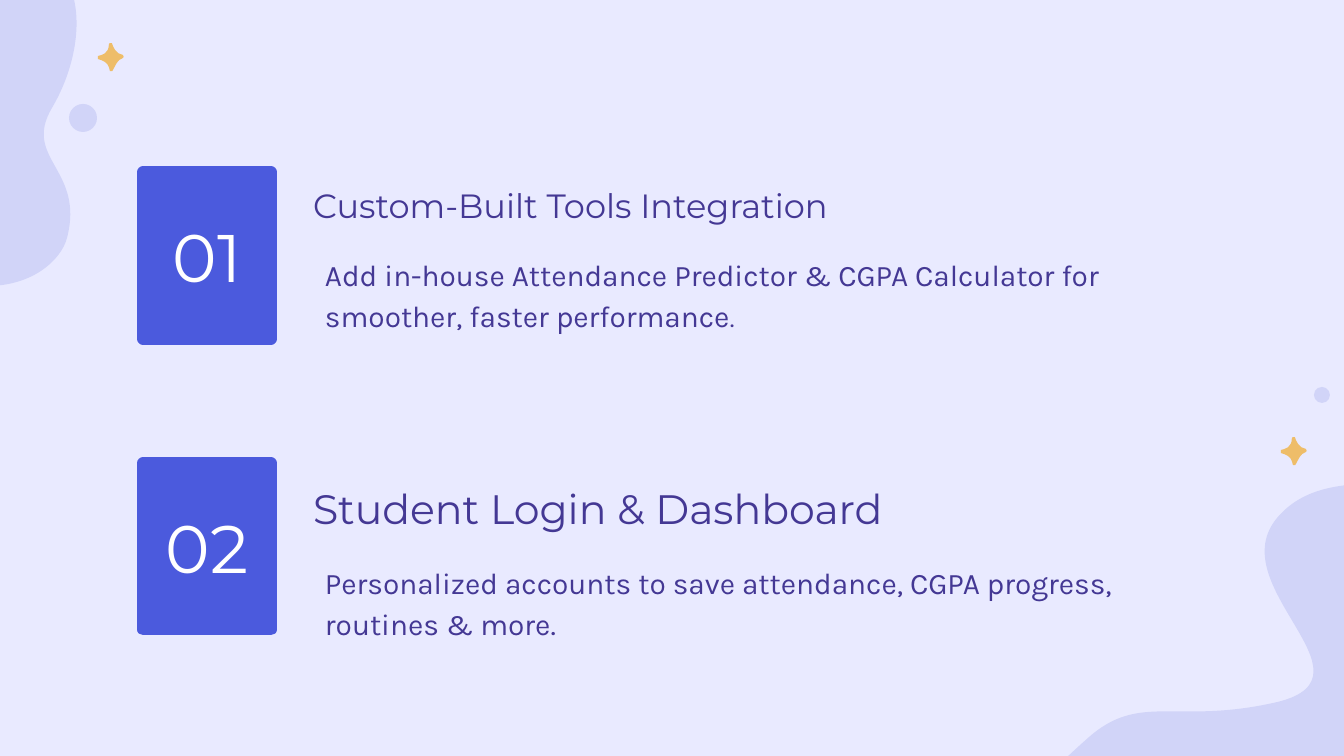
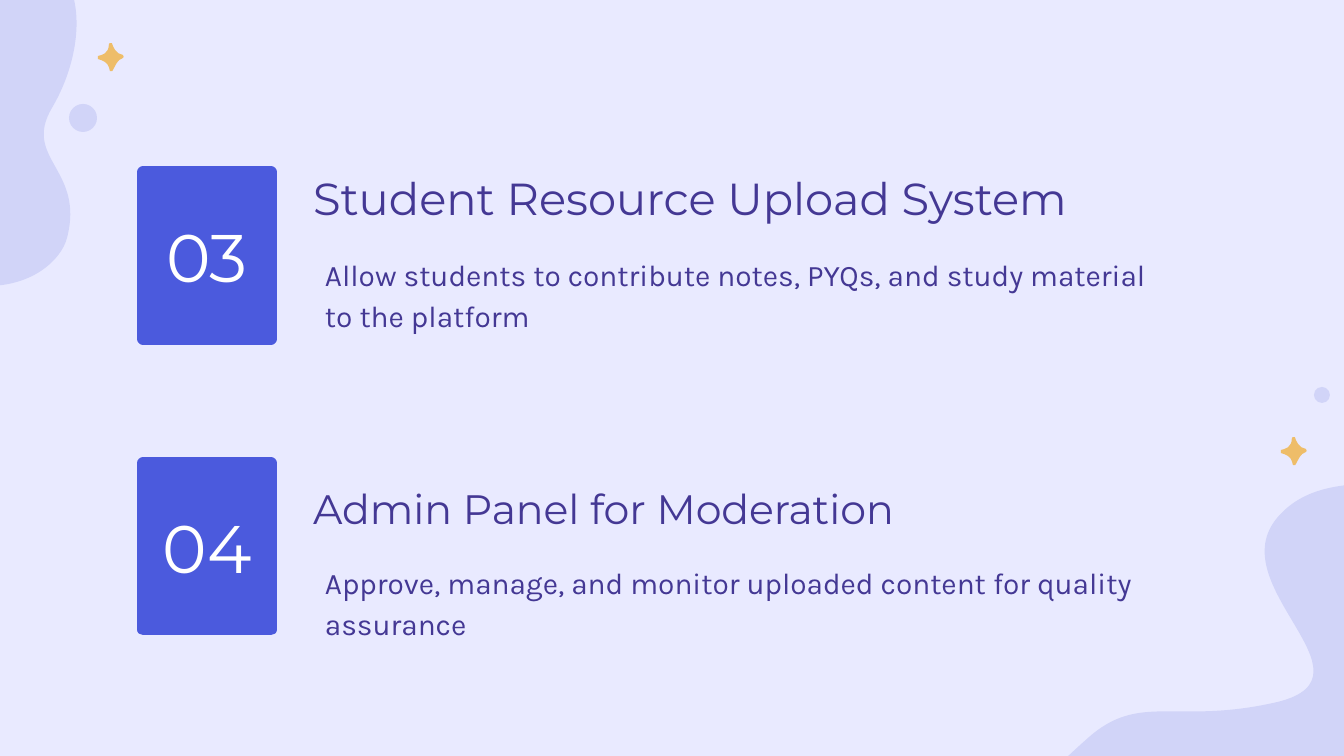
from lxml.etree import SubElement
from pptx import Presentation
from pptx.dml.color import RGBColor
from pptx.enum.shapes import MSO_SHAPE
from pptx.enum.text import MSO_ANCHOR, MSO_AUTO_SIZE, PP_ALIGN
from pptx.oxml.ns import qn
from pptx.util import Emu, Pt

SCALE = 914400 / 134.4
WIDTH, HEIGHT = 1344, 756

PALE = RGBColor(0xE9, 0xEA, 0xFF)
LILAC = RGBColor(0xD1, 0xD4, 0xF8)
GOLD = RGBColor(0xEE, 0xBD, 0x69)
BLUE = RGBColor(0x4B, 0x5A, 0xDD)
INK = RGBColor(0x44, 0x38, 0x94)
WHITE = RGBColor(0xFF, 0xFF, 0xFF)

INSET = 13
CARD = (143, 128, 167)
HEAD = (300, 134)
BODY = (312, 95)

NUMBER = {"name": "Montserrat", "size": Pt(36), "bold": False}
TITLE = {"name": "Montserrat", "bold": False}
COPY = {"name": "Karla", "size": Pt(16), "bold": False}

LEFT_BLOB = [
    (9, 118),
    (16, 164), (32, 176), (28, 209),
    (25, 232), (13, 251), (4, 278),
    (-8, 311), (6, 375), (90, 377),
    (137, 380), (185, 353), (231, 364),
    (312, 384), (348, 342), (353, 321),
    (371, 252), (308, 242), (338, 191),
    (383, 115), (376, -4), (234, 35),
    (160, 56), (101, -30), (40, 12),
    (1, 39), (5, 84), (9, 118),
]
RIGHT_BLOB = [
    (592, 0),
    (592, 0), (395, 7), (404, 109),
    (413, 211), (295, 136), (236, 204),
    (177, 272), (340, 363), (236, 389),
    (133, 413), (98, 378), (45, 426),
    (-8, 473), (0, 475), (0, 475),
]
RIGHT_EDGE = [(639, 481), (625, 3), (592, 0)]
STAR = [
    (1, 13),
    (5, 12), (12, 11), (12, 1),
    (12, 0), (13, 0), (15, 0),
    (16, 4), (19, 11), (26, 12),
    (27, 13), (27, 15), (26, 15),
    (20, 17), (19, 22), (16, 27),
    (16, 28), (15, 29), (13, 28),
    (12, 24), (12, 19), (1, 16),
    (1, 16), (1, 15), (1, 13),
]

ROWS = [
    {"card": 172, "text": 104, "wide": 872},
    {"card": 463, "text": 412, "wide": 847},
]
SLIDES = [
    [
        ("01", "Custom-Built Tools Integration", 18, 710,
         "Add in-house Attendance Predictor & CGPA Calculator for smoother, faster performance", "."),
        ("02", "Student Login & Dashboard", 22, 788,
         "Personalized accounts to save attendance, CGPA progress, routines & more.", ""),
    ],
    [
        ("03", "Student Resource Upload System", 24, 903,
         "Allow students to contribute notes, PYQs, and study material to the platform", ""),
        ("04", "Admin Panel for Moderation", 22, 788,
         "Approve, manage, and monitor uploaded content for quality assurance", ""),
    ],
]


def px(value):
    return Emu(round(value * SCALE))


def assign(target, values):
    for key, value in values.items():
        setattr(target, key, value)


def place(shape, left, top, width, height):
    box = {"left": left, "top": top, "width": width, "height": height}
    assign(shape, {key: px(value) for key, value in box.items()})


def paint(shape, color):
    shape.shadow.inherit = False
    shape.fill.solid()
    shape.fill.fore_color.rgb = color
    shape.line.fill.background()


def bend(route, count):
    lines = route.findall(qn("a:lnTo"))
    for i in range(0, count, 3):
        curve = lines[i]
        for line in lines[i + 1:i + 3]:
            curve.append(line[0])
            route.remove(line)
        curve.tag = qn("a:cubicBezTo")


def draw_blob(shapes, box, nodes, color, edge=()):
    left, top, width, height = box
    points = [*nodes, *edge]
    pen = shapes.build_freeform(*points[0], scale=SCALE)
    pen.add_line_segments(points[1:], close=True)
    blob = pen.convert_to_shape(px(left), px(top))
    route = next(blob.element.iter(qn("a:path")))
    for dot, (x, y) in zip(route.iter(qn("a:pt")), points):
        dot.set("x", str(x))
        dot.set("y", str(y))
    route.set("w", str(width))
    route.set("h", str(height))
    bend(route, len(nodes) - 1)
    place(blob, *box)
    paint(blob, color)


def draw_dot(shapes, left, top, size):
    dot = shapes.add_shape(MSO_SHAPE.OVAL, px(left), px(top), px(size), px(size))
    paint(dot, LILAC)


def add_decor(slide, master):
    blobs, dots, stars = [slide.shapes.add_group_shape() for _ in range(3)]
    draw_blob(blobs.shapes, (-286, -83, 363, 376), LEFT_BLOB, LILAC)
    draw_blob(blobs.shapes, (1042, 313, 639, 481), RIGHT_BLOB, LILAC, RIGHT_EDGE)
    draw_dot(dots.shapes, 1314, 387, 16)
    draw_dot(dots.shapes, 69, 104, 28)
    for left, top in ((97, 43), (1280, 437)):
        draw_blob(stars.shapes, (left, top, 27, 28), STAR, GOLD)
    for group in (blobs, dots, stars):
        master.shapes.element.append(group.element)


def write(shape, runs, color, anchor, align=PP_ALIGN.LEFT, spacing=1.15):
    frame = shape.text_frame
    sides = ("left", "top", "right", "bottom")
    assign(frame, {f"margin_{side}": px(INSET) for side in sides})
    assign(frame, {"word_wrap": True, "auto_size": MSO_AUTO_SIZE.NONE, "vertical_anchor": anchor})
    para = frame.paragraphs[0]
    props = para._p.get_or_add_pPr()
    assign(para, {"alignment": align, "line_spacing": spacing, "space_before": Pt(0)})
    props.set("marL", "0")
    props.set("indent", "0")
    SubElement(props, qn("a:buNone"))
    for text, style in runs:
        run = para.add_run()
        run.text = text
        assign(run.font, style)
        run.font.color.rgb = color


def fill_card(card, top, number):
    left, width, height = CARD
    place(card, left, top, width, height)
    paint(card, BLUE)
    card.line.color.rgb = BLUE
    card.line.width = Pt(6)
    SubElement(card.element.spPr.get_or_add_ln(), qn("a:round"))
    write(card, [(number, NUMBER)], WHITE, MSO_ANCHOR.MIDDLE, PP_ALIGN.CENTER, 1.0)


def fill_row(card, head, body, row, item):
    number, title, size, width, text, tail = item
    fill_card(card, row["card"], number)
    left, height = HEAD
    place(head, left, row["text"], width, height)
    write(head, [(title, {**TITLE, "size": Pt(size)})], INK, MSO_ANCHOR.BOTTOM)
    left, depth = BODY
    place(body, left, row["text"] + height, row["wide"], depth)
    runs = [(text, COPY)]
    if tail:
        runs.append((tail, {**COPY, "size": Pt(14)}))
    write(body, runs, INK, MSO_ANCHOR.TOP)


def fill_slide(slide, items):
    holders = slide.placeholders
    cards = [slide.shapes.title, slide.shapes.add_shape(MSO_SHAPE.RECTANGLE, 0, 0, 0, 0)]
    heads = [holders[1], holders[3]]
    bodies = [holders[2], holders[4]]
    for parts in zip(cards, heads, bodies, ROWS, items):
        fill_row(*parts)


def main():
    deck = Presentation()
    assign(deck, {"slide_width": px(WIDTH), "slide_height": px(HEIGHT)})
    master = deck.slide_master
    master.background.fill.solid()
    master.background.fill.fore_color.rgb = PALE
    for index, items in enumerate(SLIDES):
        slide = deck.slides.add_slide(deck.slide_layouts[4])
        if index == 0:
            add_decor(slide, master)
        fill_slide(slide, items)
    deck.save("out.pptx")


if __name__ == "__main__":
    main()
